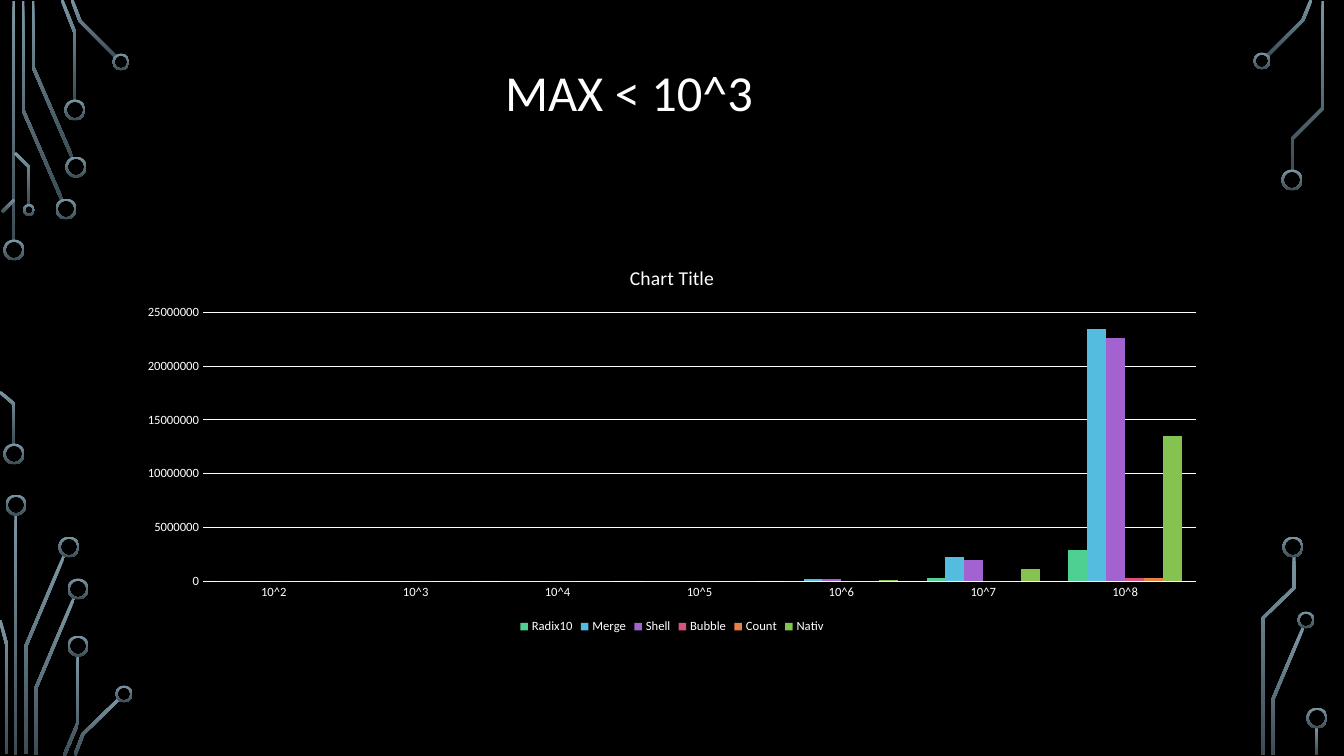
import math

from pptx import Presentation
from pptx.chart.data import CategoryChartData
from pptx.dml.color import RGBColor
from pptx.enum.chart import XL_CHART_TYPE, XL_LEGEND_POSITION, XL_TICK_MARK
from pptx.enum.shapes import MSO_SHAPE
from pptx.enum.text import MSO_ANCHOR, MSO_AUTO_SIZE, PP_ALIGN
from pptx.util import Emu, Pt

COLUMNS = XL_CHART_TYPE.COLUMN_CLUSTERED
BOTTOM = XL_LEGEND_POSITION.BOTTOM
NO_TICK = XL_TICK_MARK.NONE
DONUT = MSO_SHAPE.DONUT
MIDDLE = MSO_ANCHOR.MIDDLE
NO_FIT = MSO_AUTO_SIZE.NONE
LEFT = PP_ALIGN.LEFT
CENTER = PP_ALIGN.CENTER

WIDTH, HEIGHT = 1344, 756
EMU_PER_PX = 12192000 / WIDTH
FONT = "Calibri"
WHITE = "FFFFFF"
BLACK = "000000"
TRACE_LIGHT, TRACE_DARK = "7C96A3", "3B4C54"
TRACE_WIDTH = 3
RING_WIDTH = 2
RING = 21
SMALL_RING = 17
TINY_RING = 12

CIRCUITS = [
    {
        "box": (0, 0, 132, 466),
        "traces": [
            [(14, 1), (14, 242)],
            [(62, 200), (23, 110), (23, 1)],
            [(72, 157), (33, 67), (33, 1)],
            [(75, 101), (75, 33), (62, 0)],
            [(116, 57), (80, 21), (72, 0)],
            [(2, 212), (14, 200)],
            [(14, 444), (14, 404), (0, 392)],
            [(29, 205), (29, 167), (15, 153)],
        ],
        "rings": [
            (14, 250, RING), (14, 454, RING), (66, 209, RING),
            (76, 167, RING), (75, 110, RING),
            (121, 62, SMALL_RING), (29, 210, TINY_RING),
        ],
    },
    {
        "box": (0, 480, 132, 276),
        "traces": [
            [(16, 34), (16, 275)],
            [(26, 274), (26, 166), (64, 76)],
            [(7, 274), (7, 166), (0, 140)],
            [(36, 275), (36, 208), (74, 118)],
            [(64, 276), (78, 243), (78, 175)],
            [(75, 275), (83, 254), (119, 219)],
        ],
        "rings": [
            (16, 25, RING), (69, 67, RING), (78, 109, RING),
            (78, 166, RING), (124, 214, SMALL_RING),
        ],
    },
    {
        "box": (1240, 0, 104, 200),
        "traces": [
            [(27, 56), (63, 20), (71, 0)],
            [(52, 170), (52, 139), (83, 108), (83, 1)],
        ],
        "rings": [(22, 61, SMALL_RING), (52, 180, RING)],
    },
    {
        "box": (1240, 520, 104, 236),
        "traces": [
            [(33, 235), (33, 179), (63, 108)],
            [(23, 235), (23, 98), (54, 68), (54, 36)],
            [(77, 207), (77, 235)],
        ],
        "rings": [
            (66, 100, SMALL_RING), (53, 27, RING), (77, 198, RING),
        ],
    },
]

SIZES = ["10^2", "10^3", "10^4", "10^5", "10^6", "10^7", "10^8"]
SORTS = [
    ("Radix10", "4FD093", [0, 0, 0, 0, 0, 300000, 2900000]),
    ("Merge", "54BCDF", [0, 0, 0, 0, 200000, 2300000, 23400000]),
    ("Shell", "A262D0", [0, 0, 0, 0, 200000, 2000000, 22600000]),
    ("Bubble", "D7537B", [0, 0, 0, 0, 0, 0, 300000]),
    ("Count", "E78045", [0, 0, 0, 0, 0, 0, 300000]),
    ("Nativ", "84C350", [0, 0, 0, 0, 100000, 1200000, 13500000]),
]


def px(length):
    return Emu(round(length * EMU_PER_PX))


def color(code):
    return RGBColor.from_string(code)


def style_font(font, size):
    font.name = FONT
    font.size = Pt(size)
    font.bold = False
    font.color.rgb = color(WHITE)


def write_text(frame, text, size, align=LEFT, spacing=None):
    para = frame.paragraphs[0]
    para.alignment = align
    para.line_spacing = spacing
    span = para.add_run()
    span.text = text
    style_font(span.font, size)


def paint_trace(shape):
    shape.shadow.inherit = False
    shape.line.fill.background()
    shape.fill.gradient()
    shape.fill.gradient_angle = 270
    for stop, code in zip(shape.fill.gradient_stops, (TRACE_LIGHT, TRACE_DARK)):
        stop.color.rgb = color(code)


def ribbon(points, width):
    normals = []
    for (x1, y1), (x2, y2) in zip(points, points[1:]):
        length = math.hypot(x2 - x1, y2 - y1)
        normals.append(((y1 - y2) / length, (x2 - x1) / length))
    one_side, other_side = [], []
    joints = zip(points, normals[:1] + normals, normals + normals[-1:])
    for (x, y), (ax, ay), (bx, by) in joints:
        reach = width / 2 / (1 + ax * bx + ay * by)
        dx, dy = (ax + bx) * reach, (ay + by) * reach
        one_side.append((x + dx, y + dy))
        other_side.append((x - dx, y - dy))
    return one_side + other_side[::-1]


def draw_circuit(page, box, traces, rings):
    left, top = box[:2]
    for points in traces:
        outline = [(px(left + x), px(top + y)) for x, y in ribbon(points, TRACE_WIDTH)]
        builder = page.shapes.build_freeform(*outline[0])
        builder.add_line_segments(outline[1:], close=True)
        paint_trace(builder.convert_to_shape())
    for x, y, size in rings:
        corner = px(left + x - size / 2), px(top + y - size / 2)
        ring = page.shapes.add_shape(DONUT, *corner, px(size), px(size))
        ring.adjustments[0] = RING_WIDTH / size
        paint_trace(ring)


def place_title(page, box, text):
    title = page.shapes.title
    title.left, title.top, title.width, title.height = map(px, box)
    frame = title.text_frame
    frame.word_wrap = True
    frame.auto_size = NO_FIT
    frame.vertical_anchor = MIDDLE
    write_text(frame, text, 36, spacing=0.9)


def draw_chart(page, box):
    data = CategoryChartData()
    data.categories = SIZES
    for name, _, values in SORTS:
        data.add_series(name, values)
    chart = page.shapes.add_chart(COLUMNS, *map(px, box), data).chart
    style_font(chart.font, 10)
    chart.has_title = True
    write_text(chart.chart_title.text_frame, "Chart Title", 14, align=CENTER)
    chart.chart_title.include_in_layout = False

    chart.has_legend = True
    chart.legend.position = BOTTOM
    chart.legend.include_in_layout = False
    style_font(chart.legend.font, 9)

    for axis in (chart.category_axis, chart.value_axis):
        axis.major_tick_mark = axis.minor_tick_mark = NO_TICK
        axis.format.line.fill.background()
        style_font(axis.tick_labels.font, 9)
    values_axis = chart.value_axis
    values_axis.minimum_scale = 0
    values_axis.maximum_scale = 25000000
    values_axis.major_unit = 5000000
    grid = values_axis.major_gridlines.format.line
    grid.width = Pt(0.75)
    grid.color.rgb = color(WHITE)

    plot = chart.plots[0]
    plot.gap_width = 150
    plot.overlap = 0
    plot.vary_by_categories = False
    for series, (_, code, _) in zip(plot.series, SORTS):
        series.invert_if_negative = False
        series.format.fill.solid()
        series.format.fill.fore_color.rgb = color(code)


def main():
    deck = Presentation()
    deck.slide_width, deck.slide_height = px(WIDTH), px(HEIGHT)
    page = deck.slides.add_slide(deck.slide_layouts[5])
    page.background.fill.solid()
    page.background.fill.fore_color.rgb = color(BLACK)
    for circuit in CIRCUITS:
        draw_circuit(page, **circuit)
    place_title(page, (495, 14, 354, 163), "MAX < 10^3")
    draw_chart(page, (126, 248, 1092, 390))
    deck.save("out.pptx")


if __name__ == "__main__":
    main()
